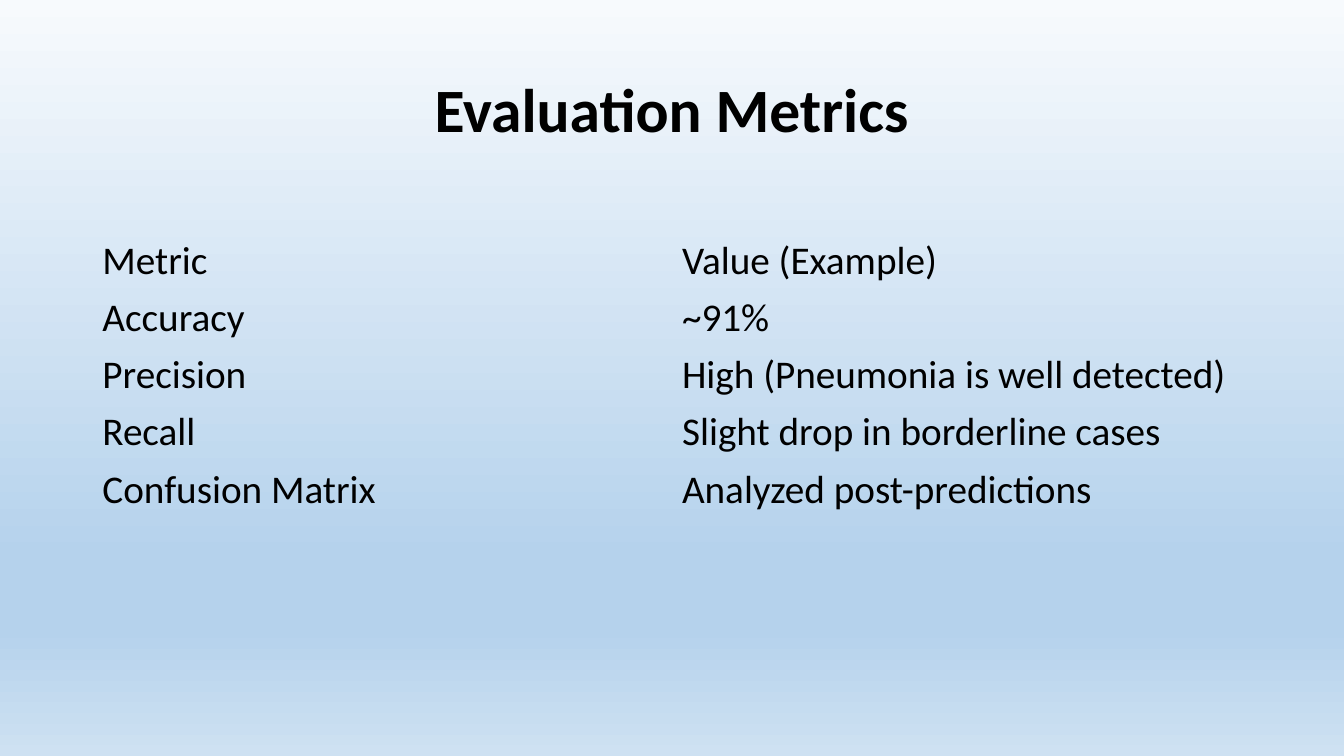
import pptx
import pptx.util
import pptx.dml.color
import pptx.enum.text
import pptx.oxml
import pptx.oxml.ns
from lxml import etree

SCALE = 9525
FONT = "Calibri"
PLAIN = "{2D5ABB26-0587-4C30-8999-92F81FD0307C}"
COLORS = {"text": "000000", "top": "F7FAFD", "deep": "B5D2EC", "base": "CEE1F2"}
STOPS = [(0, "top"), (74, "deep"), (83, "deep"), (100, "base")]
ROWS = [
    ("Metric", "Value (Example)"),
    ("Accuracy", "~91%"),
    ("Precision", "High (Pneumonia is well detected)"),
    ("Recall", "Slight drop in borderline cases"),
    ("Confusion Matrix", "Analyzed post-predictions"),
]


def px(count):
    return pptx.util.Emu(count * SCALE)


def add_run(para, text, size, bold=False):
    run = para.add_run()
    run.text = text
    run.font.name = FONT
    run.font.size = pptx.util.Pt(size)
    run.font.bold = bold
    run.font.color.rgb = pptx.dml.color.RGBColor.from_string(COLORS["text"])


def paint_back(slide):
    qn = pptx.oxml.ns.qn
    fill = slide.background.fill
    fill.gradient()
    fill.gradient_angle = 270
    stops = next(slide.element.iter(qn("a:gsLst")))
    for old in list(stops):
        stops.remove(old)
    for place, key in STOPS:
        stop = etree.SubElement(stops, qn("a:gs"), pos=str(place * 1000))
        etree.SubElement(stop, qn("a:srgbClr"), val=COLORS[key])


def add_title(slide, text, left, top, width, height):
    box = slide.shapes.add_textbox(px(left), px(top), px(width), px(height))
    frame = box.text_frame
    frame.word_wrap = True
    frame.vertical_anchor = pptx.enum.text.MSO_ANCHOR.MIDDLE
    para = frame.paragraphs[0]
    para.alignment = pptx.enum.text.PP_ALIGN.CENTER
    para.line_spacing = 0.9
    add_run(para, text, 44, True)


def add_grid(slide, rows, left, top, width, pitch):
    shape = slide.shapes.add_table(
        len(rows), len(rows[0]), px(left), px(top), px(width), px(pitch * len(rows))
    )
    table = shape.table
    table.first_row = False
    table.horz_banding = False
    next(shape.element.iter(pptx.oxml.ns.qn("a:tableStyleId"))).text = PLAIN
    for r, row in enumerate(rows):
        for c, text in enumerate(row):
            cell = table.cell(r, c)
            cell.fill.background()
            cell.vertical_anchor = pptx.enum.text.MSO_ANCHOR.MIDDLE
            add_run(cell.text_frame.paragraphs[0], text, 28)


def main():
    deck = pptx.Presentation()
    deck.slide_width = px(1280)
    deck.slide_height = px(720)
    slide = deck.slides.add_slide(deck.slide_layouts[6])
    paint_back(slide)
    add_title(slide, "Evaluation Metrics", 88, 38, 1104, 139)
    add_grid(slide, ROWS, 88, 221, 1104, 54)
    deck.save("out.pptx")


if __name__ == "__main__":
    main()
